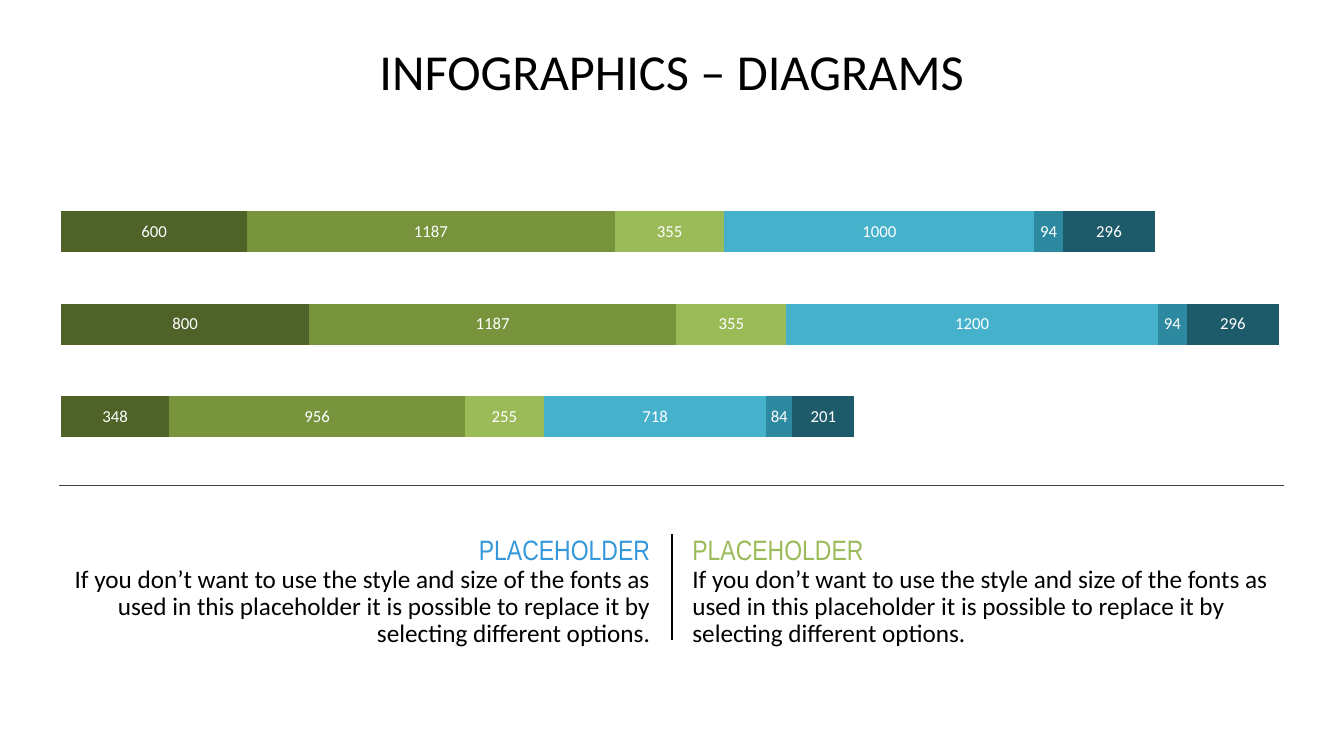
from dataclasses import dataclass

import lxml.etree
import pptx
import pptx.chart.data
import pptx.dml.color
import pptx.enum.chart
import pptx.enum.text
import pptx.oxml
import pptx.oxml.ns
import pptx.util

Pt = pptx.util.Pt
Align = pptx.enum.text.PP_ALIGN


@dataclass(frozen=True)
class Theme:
    text: str = "000000"
    rule: str = "404040"
    blue: str = "3498DB"
    green: str = "9BBB59"
    label: str = "FFFFFF"
    main_font: str = "Calibri"
    heading_font: str = "Arial Narrow"
    chart_font: str = "Roboto"
    title_size: float = 36
    chart_size: float = 21
    heading_size: float = 20
    body_size: float = 18
    label_size: float = 12


@dataclass(frozen=True)
class BarSeries:
    values: tuple[int, int, int]
    color: str


@dataclass(frozen=True)
class Caption:
    left: float
    align: Align
    color: str


@dataclass(frozen=True)
class Rule:
    start: tuple[float, float]
    end: tuple[float, float]
    color: str
    width: float


THEME = Theme()
SERIES = (
    BarSeries((348, 800, 600), "4F6228"),
    BarSeries((956, 1187, 1187), "77933C"),
    BarSeries((255, 355, 355), "9BBB59"),
    BarSeries((718, 1200, 1000), "45B1CB"),
    BarSeries((84, 94, 94), "2D899F"),
    BarSeries((201, 296, 296), "1E5B6A"),
)
CAPTIONS = (
    Caption(42.5, Align.RIGHT, THEME.blue),
    Caption(487.5, Align.LEFT, THEME.green),
)
RULES = (
    Rule((480, 381.6), (480, 457.2), THEME.text, 1.5),
    Rule((42.5, 346.5), (917.3, 346.5), THEME.rule, 0.5),
)
CAPTION_TEXT = (
    "If you don’t want to use the style and size of the fonts as used in this "
    "placeholder it is possible to replace it by selecting different options."
)
PLOT_LAYOUT = {"x": 0.031, "y": 0.052, "w": 0.939, "h": 0.747}


def rgb(color: str) -> pptx.dml.color.RGBColor:
    return pptx.dml.color.RGBColor.from_string(color)


def style_font(font, name: str, size: float, color: str) -> None:
    font.name = name
    font.size = Pt(size)
    font.color.rgb = rgb(color)


def add_span(para, text: str, name: str, size: float, color: str) -> None:
    span = para.add_run()
    span.text = text
    style_font(span.font, name, size, color)


def set_title(page) -> None:
    title = page.shapes.title
    title.left, title.top, title.width, title.height = Pt(42.5), Pt(33.8), Pt(874.8), Pt(85)
    frame = title.text_frame
    frame.margin_left = frame.margin_top = frame.margin_right = frame.margin_bottom = 0
    frame.vertical_anchor = pptx.enum.text.MSO_ANCHOR.TOP
    frame.auto_size = pptx.enum.text.MSO_AUTO_SIZE.NONE
    frame.word_wrap = True
    para = frame.paragraphs[0]
    para.alignment = Align.CENTER
    para.line_spacing = 0.9
    add_span(para, "INFOGRAPHICS – DIAGRAMS", THEME.main_font, THEME.title_size, THEME.text)


def place_plot(chart) -> None:
    plot_area = chart.plots[0]._element.getparent()
    for old_layout in plot_area.findall(pptx.oxml.ns.qn("c:layout")):
        plot_area.remove(old_layout)
    settings = {"layoutTarget": "inner", "xMode": "edge", "yMode": "edge", **PLOT_LAYOUT}
    layout = pptx.oxml.parse_xml(f"<c:layout {pptx.oxml.ns.nsdecls('c')}/>")
    manual = lxml.etree.SubElement(layout, pptx.oxml.ns.qn("c:manualLayout"))
    for tag, value in settings.items():
        lxml.etree.SubElement(manual, pptx.oxml.ns.qn(f"c:{tag}")).set("val", str(value))
    plot_area.insert(0, layout)


def add_bars(page) -> None:
    data = pptx.chart.data.CategoryChartData()
    data.categories = ["1", "2", "3"]
    for number, series in enumerate(SERIES, 1):
        data.add_series(f"Series {number}", series.values)
    chart = page.shapes.add_chart(
        pptx.enum.chart.XL_CHART_TYPE.BAR_STACKED, Pt(15), Pt(118.8), Pt(930.3), Pt(265), data
    ).chart
    style_font(chart.font, THEME.chart_font, THEME.chart_size, THEME.text)
    chart.font.bold = True
    chart.has_title = False
    chart.has_legend = False
    chart.category_axis.visible = False
    axis = chart.value_axis
    axis.minimum_scale, axis.maximum_scale = 0, 3950
    axis.has_major_gridlines = False
    axis.major_tick_mark = axis.minor_tick_mark = pptx.enum.chart.XL_TICK_MARK.NONE
    axis.tick_label_position = pptx.enum.chart.XL_TICK_LABEL_POSITION.NONE
    axis.format.line.fill.background()
    plot = chart.plots[0]
    plot.gap_width = 126
    plot.overlap = 100
    plot.vary_by_categories = False
    for bars, series in zip(plot.series, SERIES):
        bars.format.fill.solid()
        bars.format.fill.fore_color.rgb = rgb(series.color)
        labels = bars.data_labels
        labels.show_value = True
        labels.number_format = "General"
        labels.number_format_is_linked = False
        labels.position = pptx.enum.chart.XL_LABEL_POSITION.CENTER
        style_font(labels.font, THEME.main_font, THEME.label_size, THEME.label)
        labels.font.bold = False
    place_plot(chart)


def add_rule(page, rule: Rule) -> None:
    line = page.shapes.add_connector(
        pptx.enum.shapes.MSO_CONNECTOR.STRAIGHT, *map(Pt, rule.start + rule.end)
    )
    line.line.color.rgb = rgb(rule.color)
    line.line.width = Pt(rule.width)
    lxml.etree.SubElement(line._element.spPr, pptx.oxml.ns.qn("a:effectLst"))


def add_caption(page, caption: Caption) -> None:
    box = page.shapes.add_textbox(Pt(caption.left), Pt(379.5), Pt(429), Pt(88))
    box.text_frame.word_wrap = True
    para = box.text_frame.paragraphs[0]
    para.alignment = caption.align
    para.line_spacing = 0.9
    para.space_after = Pt(10)
    add_span(para, "PLACEHOLDER", THEME.heading_font, THEME.heading_size, caption.color)
    para.add_line_break()
    add_span(para, CAPTION_TEXT, THEME.main_font, THEME.body_size, THEME.text)


def main() -> None:
    deck = pptx.Presentation()
    deck.slide_width, deck.slide_height = Pt(960), Pt(540)
    page = deck.slides.add_slide(deck.slide_layouts[5])
    set_title(page)
    add_bars(page)
    for rule in RULES:
        add_rule(page, rule)
    for caption in CAPTIONS:
        add_caption(page, caption)
    deck.save("out.pptx")


if __name__ == "__main__":
    main()
